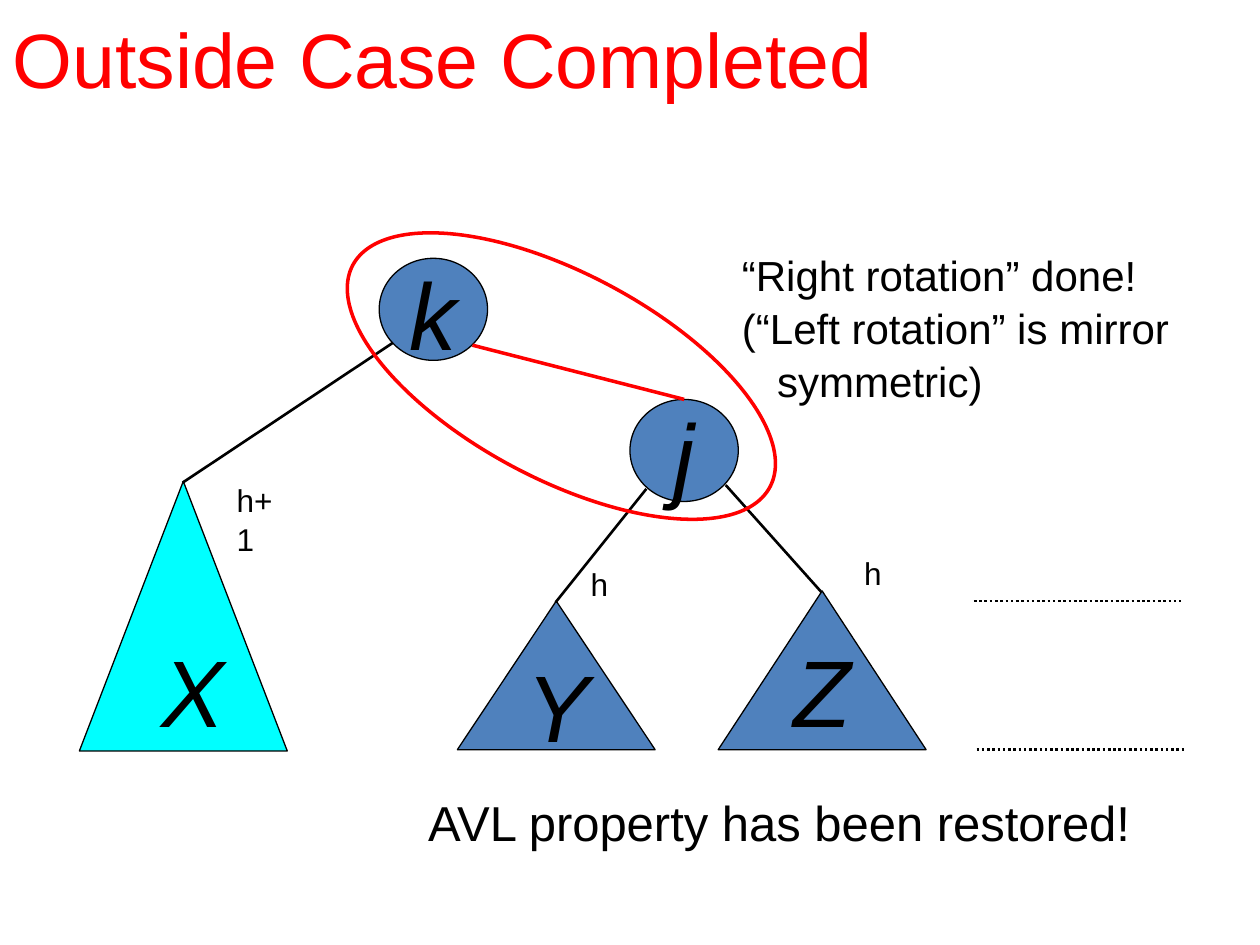
from lxml import etree
from pptx import Presentation
from pptx.dml.color import RGBColor
from pptx.enum import dml, shapes, text
from pptx.oxml.ns import qn
from pptx.util import Inches, Pt

COLORS = {"ink": "000000", "red": "FF0000", "blue": "4F81BD", "cyan": "00FFFF"}
OVAL = shapes.MSO_SHAPE.OVAL
TRIANGLE = shapes.MSO_SHAPE.ISOSCELES_TRIANGLE

TITLE = "Outside Case Completed"
NODES = {"j": (5, 3.17), "k": (3.01, 2.05)}
NODE_SIZE = (0.86, 0.81)
SUBTREES = [
    ((0.63, 3.82, 1.65, 2.14), "cyan"),
    ((3.63, 4.77, 1.57, 1.18), "blue"),
    ((5.7, 4.69, 1.65, 1.26), "blue"),
]
LETTERS = [("k", 3.15, 1.94), ("X", 1.18, 4.93), ("Y", 4.08, 5.05), ("Z", 6.2, 4.93)]
LETTER_SIZE = (0.53, 1)
LEVELS = [((7.73, 4.77), (9.37, 4.77)), ((7.75, 5.95), (9.4, 5.95))]
BRANCHES = [
    ((1.45, 3.83), (3.12, 2.72)),
    ((5.13, 3.88), (4.41, 4.78)),
    ((5.76, 3.85), (6.52, 4.7)),
]
ROTATED_EDGE = ((3.75, 2.74), (5.43, 3.17))
ROTATION_RING = (2.58, 2.17, 3.75, 1.63)
NOTES = [
    (["“Right rotation” done!", "(“Left rotation” is mirror", "symmetric)"],
     (5.79, 1.91, 3.59, 1.3), 24),
    (["AVL property has been restored!"], (3.3, 6.22, 5.81, 0.57), 28),
    (["h"], (6.76, 4.33, 0.34, 0.4), 18),
    (["h+1"], (1.78, 3.75, 0.62, 0.4), 18),
    (["h"], (4.59, 4.42, 0.34, 0.4), 18),
]
CONTINUED = {"symmetric)": 0.28}


def rgb(name):
    return RGBColor.from_string(COLORS[name])


def inches(values):
    return [Inches(value) for value in values]


def write(frame, lines, size, color="ink", italic=False, wrap=True, grow=False,
          align=text.PP_ALIGN.LEFT, anchor=text.MSO_ANCHOR.TOP):
    frame.word_wrap = wrap
    frame.auto_size = text.MSO_AUTO_SIZE.SHAPE_TO_FIT_TEXT if grow else text.MSO_AUTO_SIZE.NONE
    frame.vertical_anchor = anchor
    for index, line in enumerate(lines):
        paragraph = frame.add_paragraph() if index else frame.paragraphs[0]
        paragraph.alignment = align
        paragraph.line_spacing = 1.05
        if line in CONTINUED:
            paragraph._p.get_or_add_pPr().set("marL", str(Inches(CONTINUED[line])))
        run = paragraph.add_run()
        run.text = line
        run.font.name = "Arial"
        run.font.size = Pt(size)
        run.font.italic = italic
        run.font.color.rgb = rgb(color)


def add_figure(slide, kind, box, fill=None, line="ink", width=0.75):
    figure = slide.shapes.add_shape(kind, *inches(box))
    figure.shadow.inherit = False
    if fill:
        figure.fill.solid()
        figure.fill.fore_color.rgb = rgb(fill)
    else:
        figure.fill.background()
    figure.line.color.rgb = rgb(line)
    figure.line.width = Pt(width)
    return figure


def add_line(slide, start, end, color="ink", width=1.5, dash=None):
    edge = slide.shapes.add_connector(shapes.MSO_CONNECTOR.STRAIGHT, *inches(start + end))
    edge.line.color.rgb = rgb(color)
    edge.line.width = Pt(width)
    if dash:
        edge.line.dash_style = dash
    etree.SubElement(edge._element.spPr, qn("a:effectLst"))


def add_text(slide, lines, box, size, **style):
    write(slide.shapes.add_textbox(*inches(box)).text_frame, lines, size, grow=True, **style)


def main():
    deck = Presentation()
    deck.slide_width, deck.slide_height = inches((10, 7.5))
    slide = deck.slides.add_slide(deck.slide_layouts[5])

    title = slide.shapes.title
    title.left, title.top, title.width, title.height = inches((0, 0, 8.55, 0.88))
    write(title.text_frame, [TITLE], 44, color="red", anchor=text.MSO_ANCHOR.MIDDLE)

    nodes = {key: add_figure(slide, OVAL, at + NODE_SIZE, "blue") for key, at in NODES.items()}
    write(nodes["j"].text_frame, ["j"], 54, italic=True, wrap=False,
          align=text.PP_ALIGN.CENTER, anchor=text.MSO_ANCHOR.MIDDLE)
    for box, fill in SUBTREES:
        add_figure(slide, TRIANGLE, box, fill)
    for letter, left, top in LETTERS:
        add_text(slide, [letter], (left, top) + LETTER_SIZE, 54, italic=True)

    for start, end in LEVELS:
        add_line(slide, start, end, dash=dml.MSO_LINE.ROUND_DOT)
    for start, end in BRANCHES:
        add_line(slide, start, end)
    add_line(slide, *ROTATED_EDGE, color="red", width=2)
    add_figure(slide, OVAL, ROTATION_RING, line="red", width=2).rotation = 28

    for lines, box, size in NOTES:
        add_text(slide, lines, box, size, wrap=False)

    deck.save("out.pptx")


if __name__ == "__main__":
    main()
